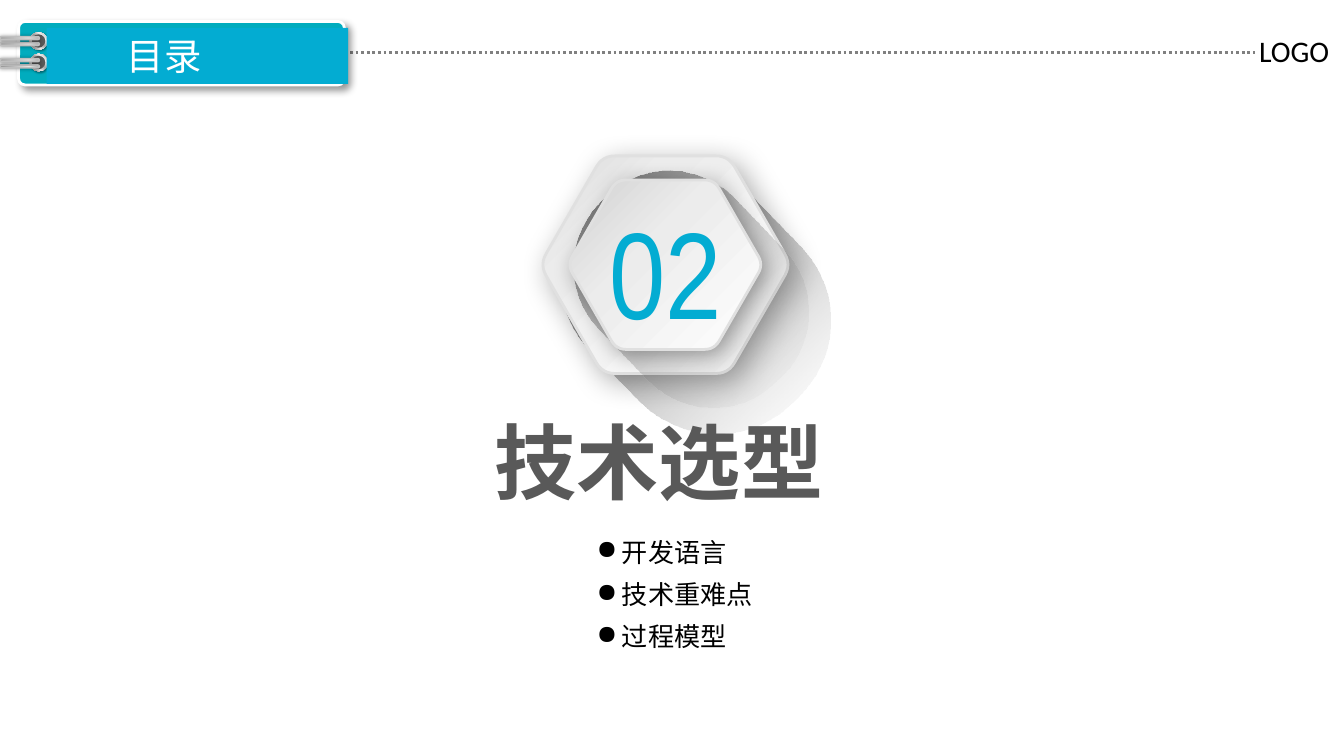
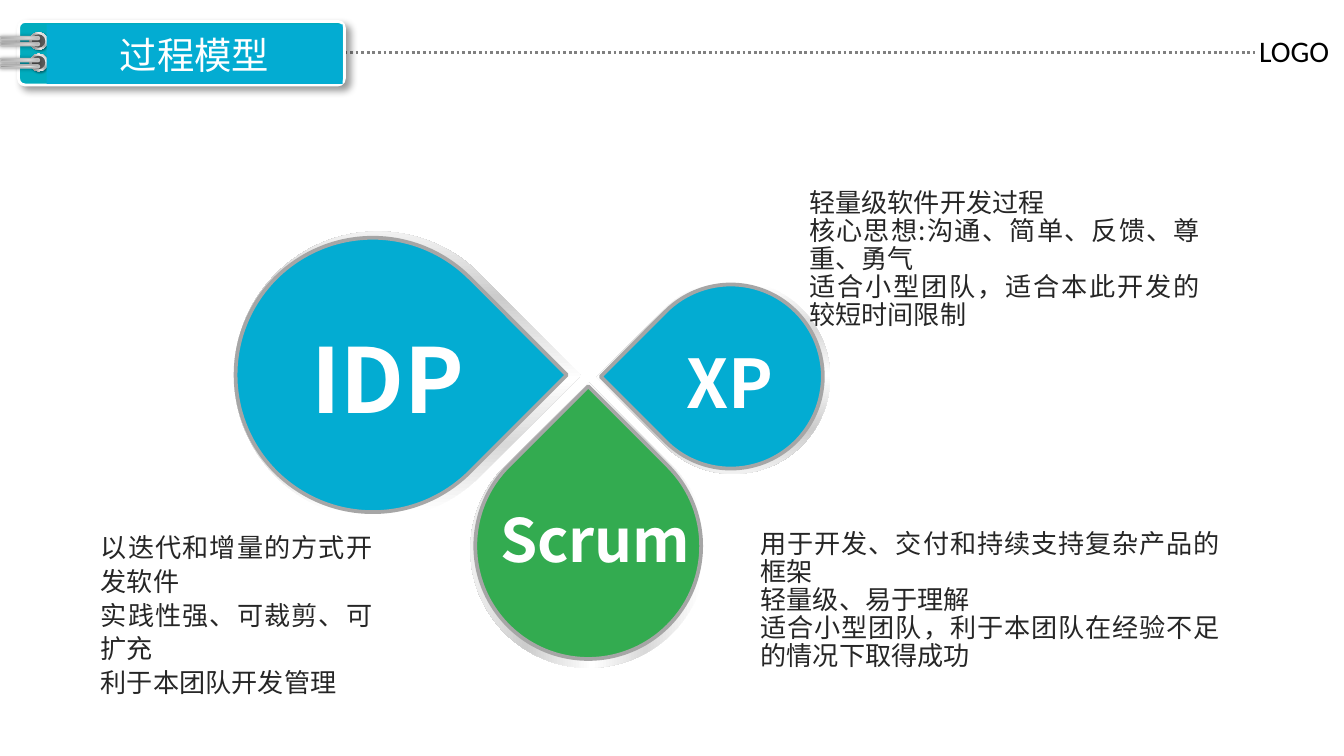
from math import cos, radians, sin

from lxml.etree import SubElement
from pptx import Presentation
from pptx.dml.color import RGBColor
from pptx.enum.dml import MSO_LINE
from pptx.enum.shapes import MSO_CONNECTOR, MSO_SHAPE
from pptx.enum.text import MSO_ANCHOR, MSO_AUTO_SIZE, PP_ALIGN
from pptx.oxml.ns import qn
from pptx.util import Pt

BLUE, TEAL, GREEN = "03ACD2", "01ACBE", "33AB50"
WHITE, BLACK, INK = "FFFFFF", "000000", "262626"
DARK_GREY, GREY, MID_GREY = "595959", "808080", "A6A6A6"
SANS, TITLE_FONT = "Noto Sans CJK SC", "Noto Sans CJK JP"
RING_STOPS = [(0, WHITE), (17, MID_GREY), (35, "F2F2F2"),
              (55, MID_GREY), (75, "F2F2F2"), (100, MID_GREY)]
ROD_STOPS = [(0, GREY), (23, MID_GREY), (52, "D9D9D9"), (74, WHITE), (100, MID_GREY)]
RIM_STOPS = [(16, WHITE), (33, "D9D9D9"), (49, WHITE), (69, "CCCCCC"), (91, WHITE)]


def paint(shape, fill, angle=0, line=None, width=1, shadow=None):
    """Fill is a hex string or a list of (position, hex[, opacity]) stops;
    shadow is (opacity, blur, distance, direction)."""
    if isinstance(fill, str):
        shape.fill.solid()
        shape.fill.fore_color.rgb = RGBColor.from_string(fill)
    else:
        shape.fill.gradient()
        gradient = shape.element.spPr.find(qn("a:gradFill"))
        gradient.clear()
        gradient.set("rotWithShape", "1")
        stops = SubElement(gradient, qn("a:gsLst"))
        for position, colour, *opacity in fill:
            stop = SubElement(stops, qn("a:gs"), pos=str(position * 1000))
            tone = SubElement(stop, qn("a:srgbClr"), val=colour)
            if opacity:
                SubElement(tone, qn("a:alpha"), val=str(opacity[0] * 1000))
        SubElement(gradient, qn("a:lin"), ang=str(angle * 60000), scaled="0")
    if line:
        shape.line.color.rgb = RGBColor.from_string(line)
        shape.line.width = Pt(width)
    else:
        shape.line.fill.background()
    shape.shadow.inherit = False
    if shadow:
        opacity, blur, distance, direction = shadow
        effects = shape.element.spPr.find(qn("a:effectLst"))
        outer = SubElement(effects, qn("a:outerShdw"), blurRad=str(Pt(blur)),
                           dist=str(Pt(distance)), dir=str(direction * 60000),
                           algn="ctr", rotWithShape="0")
        tone = SubElement(outer, qn("a:srgbClr"), val=BLACK)
        SubElement(tone, qn("a:alpha"), val=str(opacity * 1000))


def write(frame, text, size, colour, font=SANS, bold=False,
          align=PP_ALIGN.LEFT, spacing=None, margins=(0, 0)):
    frame.text = text
    frame.word_wrap = True
    frame.auto_size = MSO_AUTO_SIZE.NONE
    frame.margin_left, frame.margin_right = map(Pt, margins)
    frame.margin_top = frame.margin_bottom = 0
    for paragraph in frame.paragraphs:
        paragraph.alignment = align
        if spacing:
            paragraph.line_spacing = Pt(spacing)
        for run in paragraph.runs:
            run.font.size = Pt(size)
            run.font.bold = bold
            run.font.color.rgb = RGBColor.from_string(colour)
            run.font.name = font
            SubElement(run._r.get_or_add_rPr(), qn("a:ea"), typeface=font)


prs = Presentation()
prs.slide_width, prs.slide_height = Pt(720), Pt(405)
layout = prs.slide_layouts[5]
for footer in list(layout.placeholders)[1:]:
    footer.element.getparent().remove(footer.element)
section = prs.slides.add_slide(layout)
models = prs.slides.add_slide(layout)

# Shared band: dotted rule, binder tab with rings, logo text
shapes = section.shapes
rule = shapes.add_connector(MSO_CONNECTOR.STRAIGHT, Pt(178.5), Pt(28), Pt(672.5), Pt(28))
rule.line.color.rgb = RGBColor.from_string(GREY)
rule.line.width = Pt(1.5)
rule.line.dash_style = MSO_LINE.ROUND_DOT
SubElement(rule.element.spPr, qn("a:effectLst"))

tab = shapes.add_shape(MSO_SHAPE.ROUNDED_RECTANGLE, Pt(10), Pt(11.5), Pt(174.5), Pt(34))
tab.adjustments[0] = 0.1
paint(tab, TEAL, line=WHITE, width=1.5, shadow=(40, 4, 3, 45))

for ring_y in (33.5, 22):
    ring = shapes.add_shape(MSO_SHAPE.OVAL, Pt(16), Pt(ring_y - 4.7), Pt(9.4), Pt(9.4))
    paint(ring, RING_STOPS, angle=315, shadow=(40, 1, 1, 45))
    hole = shapes.add_shape(MSO_SHAPE.OVAL, Pt(17.1), Pt(ring_y - 3.6), Pt(7.2), Pt(7.2))
    paint(hole, DARK_GREY)
for rod_y in (35.6, 32.2, 23.6, 20.4):
    rod = shapes.add_shape(MSO_SHAPE.ROUNDED_RECTANGLE, Pt(0), Pt(rod_y - 0.7), Pt(21), Pt(1.4))
    rod.adjustments[0] = 0.5
    paint(rod, ROD_STOPS, line="BFBFBF", shadow=(40, 2, 0, 0))

logo = shapes.add_textbox(Pt(674.5), Pt(17.3), Pt(45.5), Pt(20))
write(logo.text_frame, "LOGO", 16, BLACK, font="Calibri")

for part in list(shapes)[1:]:
    layout.shapes.element.append(part.element)

# Titles
for slide, heading, box, align, indent in [
    (section, "目录", (25, 15, 161.5, 30), PP_ALIGN.LEFT, 43),
    (models, "过程模型", (25, 13, 158.5, 32), PP_ALIGN.CENTER, 5),
]:
    title = slide.shapes.title
    title.left, title.top, title.width, title.height = map(Pt, box)
    paint(title, BLUE)
    write(title.text_frame, heading, 20, WHITE, font=TITLE_FONT, align=align,
          margins=(indent, 5))
    title.text_frame.vertical_anchor = MSO_ANCHOR.MIDDLE

# Section slide: number in two stacked hexagons
CENTRE_X, CENTRE_Y = 356.5, 141.8
for cast_box, opacity, half_height, stops, shadow in [
    ((296, 100, 152.5, 119.5), 100, 58.3,
     [(0, WHITE), (73, "ECECEC"), (100, "D9D9D9")], (32, 16, 5, 45)),
    ((303, 104.5, 134.5, 101), 66, 45.4,
     [(0, WHITE), (60, "ECECEC"), (100, "D1D1D1")], (33, 12, 3, 45)),
]:
    cast = section.shapes.add_shape(MSO_SHAPE.ROUNDED_RECTANGLE, *map(Pt, cast_box))
    cast.adjustments[0] = 0.476
    cast.rotation = 46
    paint(cast, [(0, BLACK, opacity), (100, "E8E8E8", 0)])

    radius = half_height / sin(radians(60))
    corners = [(CENTRE_X + radius * cos(radians(60 * i)),
                CENTRE_Y + radius * sin(radians(60 * i))) for i in range(6)]
    outline = []
    for i, corner in enumerate(corners):
        before, after = corners[i - 1], corners[(i + 1) % 6]
        for t in (step / 6 for step in range(7)):
            # Quadratic rounding that starts a tenth of the side from the corner
            outline.append([Pt(c + 0.1 * ((1 - t) ** 2 * (b - c) + t ** 2 * (a - c)))
                            for b, c, a in zip(before, corner, after)])
    builder = section.shapes.build_freeform(*outline[0])
    builder.add_line_segments(outline[1:], close=True)
    paint(builder.convert_to_shape(), stops, angle=225, line="E0E0E0", width=1.5,
          shadow=shadow)

number = section.shapes.add_textbox(Pt(286), Pt(105), Pt(141), Pt(82))
write(number.text_frame, "02", 66, BLUE, font="Arial Narrow", align=PP_ALIGN.CENTER)
name = section.shapes.add_textbox(Pt(265), Pt(220.3), Pt(190), Pt(53))
write(name.text_frame, "技术选型", 44, DARK_GREY, bold=True)

for i, topic in enumerate(["开发语言", "技术重难点", "过程模型"]):
    item = section.shapes.add_textbox(Pt(319.7), Pt(287.2 + 22.7 * i), Pt(92), Pt(17))
    write(item.text_frame, topic, 14, BLACK)
    properties = item.text_frame.paragraphs[0]._p.get_or_add_pPr()
    properties.set("marL", str(Pt(13.5)))
    properties.set("indent", str(Pt(-13.5)))
    SubElement(properties, qn("a:buChar"), char="●")

# Model slide: three drops whose tips meet, each a rim and a coloured face
for rim, face, turn, colour in [
    ((252, 231.1, 126.7), (254.6, 232, 121), 315, GREEN),
    ((341, 150.2, 103.7), (342.2, 152.4, 98.6), 225, BLUE),
    ((125.4, 124, 154), (126.2, 127.4, 147), 45, BLUE),
]:
    for (x, y, size), fill, edge in [(rim, RIM_STOPS, None), (face, colour, MID_GREY)]:
        drop = models.shapes.add_shape(MSO_SHAPE.TEAR, Pt(x), Pt(y), Pt(size), Pt(size))
        drop.rotation = turn
        paint(drop, fill, angle=225, line=edge, width=2)

for model, box, size in [
    ("IDP", (156.2, 173.5, 103, 58), 48),
    ("Scrum", (267, 269.3, 104, 39), 32),
    ("XP", (355.7, 183, 71, 44), 36),
]:
    label = models.shapes.add_textbox(*map(Pt, box))
    write(label.text_frame, model, size, WHITE, bold=True, align=PP_ALIGN.CENTER)

for points, box, spacing in [
    (["轻量级软件开发过程",
      "核心思想:沟通、简单、反馈、尊重、勇气",
      "适合小型团队，适合本此开发的较短时间限制"], (433.5, 101.5, 209.5, 75.6), 15),
    (["用于开发、交付和持续支持复杂产品的框架",
      "轻量级、易于理解",
      "适合小型团队，利于本团队在经验不足的情况下取得成功"], (407.5, 284.4, 246, 75.6), 15),
    (["以迭代和增量的方式开发软件",
      "实践性强、可裁剪、可扩充",
      "利于本团队开发管理"], (54, 283.7, 145.5, 90), 18),
]:
    description = models.shapes.add_textbox(*map(Pt, box))
    write(description.text_frame, "\n".join(points), 14, INK,
          align=PP_ALIGN.JUSTIFY, spacing=spacing)

prs.save("out.pptx")
